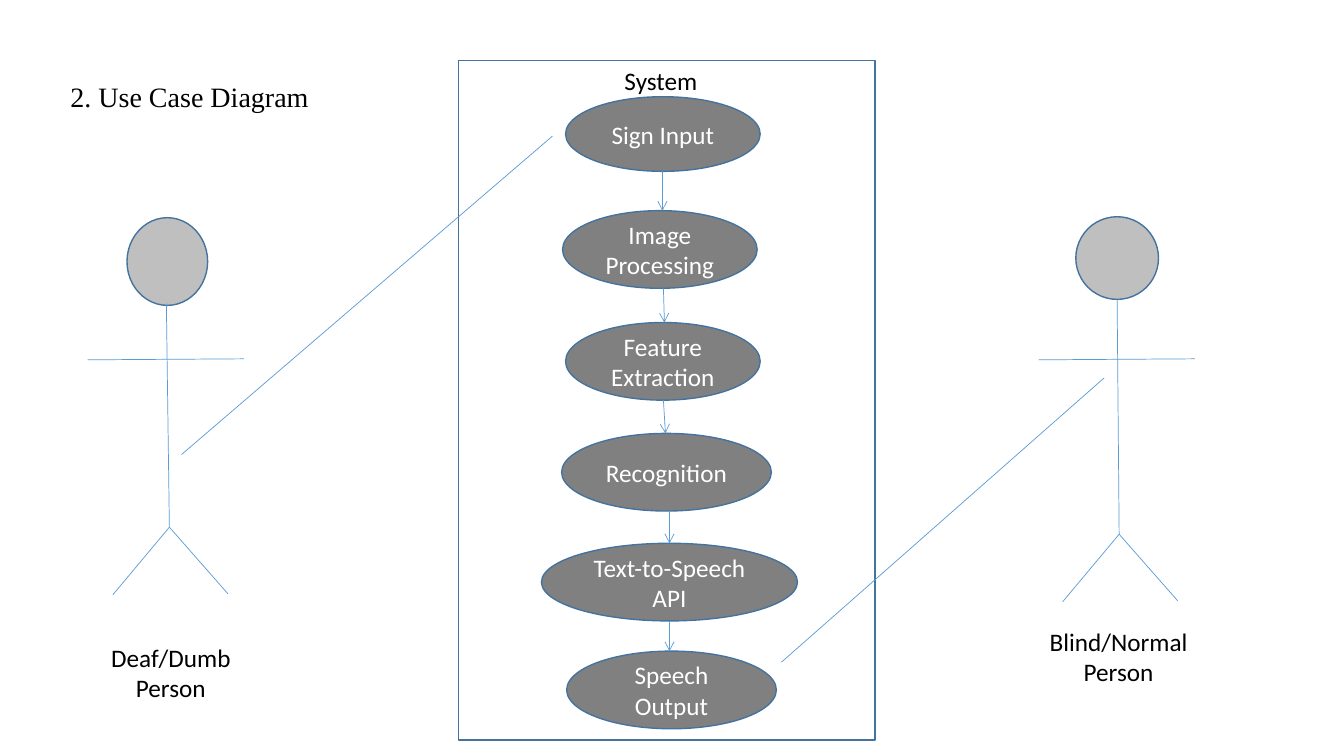
from lxml import etree
from pptx import Presentation
from pptx.dml.color import RGBColor
from pptx.enum.shapes import MSO_CONNECTOR, MSO_SHAPE
from pptx.enum.text import MSO_ANCHOR, MSO_AUTO_SIZE, PP_ALIGN
from pptx.oxml.ns import qn
from pptx.util import Inches, Pt

STRAIGHT = MSO_CONNECTOR.STRAIGHT
RECTANGLE = MSO_SHAPE.RECTANGLE
OVAL = MSO_SHAPE.OVAL
HEAD = MSO_SHAPE.FLOWCHART_CONNECTOR
MIDDLE = MSO_ANCHOR.MIDDLE
GROW = MSO_AUTO_SIZE.SHAPE_TO_FIT_TEXT
LEFT, CENTER = PP_ALIGN.LEFT, PP_ALIGN.CENTER

COLORS = {
    "white": "FFFFFF",
    "black": "000000",
    "outline": "43739E",
    "link": "5B9BD5",
    "use_case": "808080",
    "head": "BFBFBF",
}

# Use cases from top to bottom: label, left, top, width, height
USE_CASES = [
    ("Sign Input", 5.61, 0.96, 1.93, 0.74),
    ("Image Processing", 5.58, 2.09, 1.93, 0.77),
    ("Feature Extraction", 5.61, 3.2, 1.93, 0.77),
    ("Recognition", 5.57, 4.3, 2.08, 0.77),
    ("Text-to-Speech API", 5.37, 5.39, 2.54, 0.77),
    ("Speech Output", 5.62, 6.46, 2.08, 0.77),
]
# Start and end x of the arrow below each use case but the last
ARROW_XS = [(6.57, 6.57), (6.58, 6.59), (6.58, 6.6), (6.64, 6.64), (6.64, 6.64)]


def color(name):
    return RGBColor.from_string(COLORS[name])


def write(frame, text, size, font, ink, align):
    frame.word_wrap = True
    para = frame.paragraphs[0]
    para.text = text
    para.alignment = align
    para.font.size = Pt(size)
    para.font.name = font
    para.font.color.rgb = color(ink)


def add_label(page, text, left, top, width, height,
              size=18, font="Calibri", align=CENTER):
    box = page.shapes.add_textbox(*map(Inches, (left, top, width, height)))
    write(box.text_frame, text, size, font, "black", align)
    box.text_frame.auto_size = GROW


def add_figure(page, kind, left, top, width, height, fill):
    figure = page.shapes.add_shape(kind, *map(Inches, (left, top, width, height)))
    figure.shadow.inherit = False
    figure.fill.solid()
    figure.fill.fore_color.rgb = color(fill)
    figure.line.color.rgb = color("outline")
    figure.line.width = Pt(1)
    return figure


def add_use_case(page, text, left, top, width, height):
    oval = add_figure(page, OVAL, left, top, width, height, "use_case")
    oval.text_frame.vertical_anchor = MIDDLE
    write(oval.text_frame, text, 18, "Calibri", "white", CENTER)


def add_line(page, start, end, arrow=False):
    link = page.shapes.add_connector(STRAIGHT, *map(Inches, (*start, *end)))
    link.line.color.rgb = color("link")
    link.line.width = Pt(0.5)
    properties = link._element.spPr
    if arrow:
        outline = properties.find(qn("a:ln"))
        etree.SubElement(outline, qn("a:tailEnd"), type="arrow")
    etree.SubElement(properties, qn("a:effectLst"))


def add_person(page, label, label_place, head_place, neck, hip):
    x, hip_x = neck[0], hip[0]
    add_figure(page, HEAD, *head_place, "head")
    add_line(page, neck, hip)
    # Arms
    add_line(page, (x - 0.78, 3.57), (x + 0.77, 3.56))
    # Legs
    add_line(page, hip, (hip_x - 0.56, hip[1] + 0.67))
    add_line(page, hip, (hip_x + 0.58, hip[1] + 0.66))
    add_label(page, label, *label_place)


def main():
    deck = Presentation()
    deck.slide_width = Inches(13.33)
    deck.slide_height = Inches(7.5)
    page = deck.slides.add_slide(deck.slide_layouts[6])

    # Title and system boundary
    add_label(page, "2. Use Case Diagram", 0.6, 0.74, 2.74, 0.44,
              20, "Times New Roman", LEFT)
    add_figure(page, RECTANGLE, 4.55, 0.6, 4.13, 6.74, "white")
    add_label(page, "System", 5.46, 0.6, 2.19, 0.4)

    # Use cases, each linked to the next
    for use_case in USE_CASES:
        add_use_case(page, *use_case)
    for upper, lower, (start_x, end_x) in zip(USE_CASES, USE_CASES[1:], ARROW_XS):
        bottom = upper[2] + upper[4]
        add_line(page, (start_x, bottom), (end_x, lower[2]), arrow=True)

    # Actors and their links to the system
    add_person(page, "Deaf/Dumb Person", (0.78, 6.32, 1.83, 0.71),
               (1.26, 2.16, 0.8, 0.87), (1.65, 3.01), (1.68, 5.23))
    add_person(page, "Blind/Normal Person", (10.18, 6.16, 1.83, 0.71),
               (10.67, 2.15, 0.82, 0.82), (11.08, 2.98), (11.1, 5.3))
    add_line(page, (1.8, 4.51), (5.48, 1.35))
    add_line(page, (7.75, 6.57), (10.95, 3.75))

    deck.save("out.pptx")


if __name__ == "__main__":
    main()
